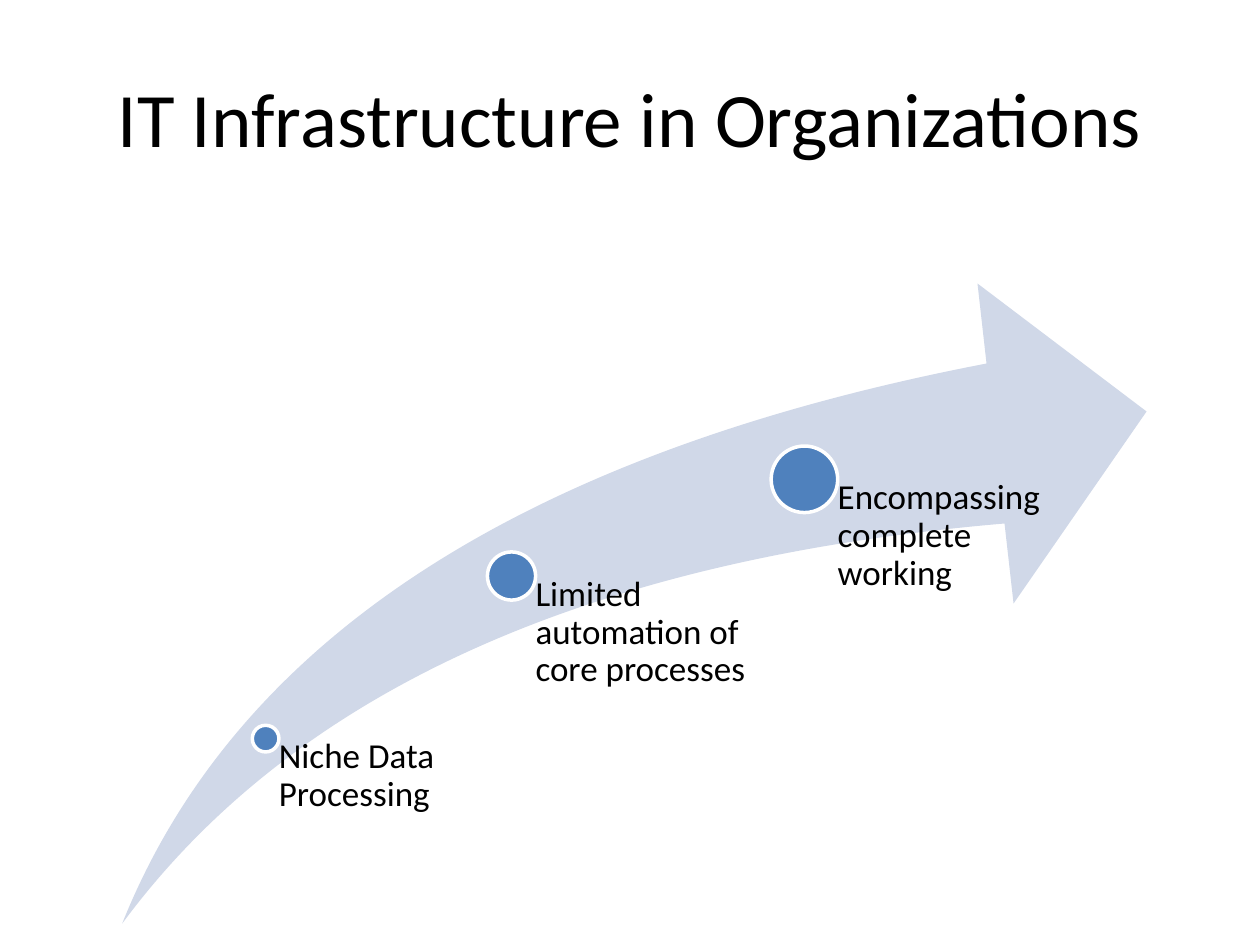
import pptx
import pptx.util
import pptx.dml.color
import pptx.enum.shapes
import pptx.enum.text

Inch = pptx.util.Inches
Pt = pptx.util.Pt
Shape = pptx.enum.shapes.MSO_SHAPE
Anchor = pptx.enum.text.MSO_ANCHOR
Align = pptx.enum.text.PP_ALIGN

# Arrow frame: left, top, width, height in inches
LEFT, TOP, WIDE, HIGH = 0.97, 2.25, 8.13, 5.08

# Centre x, centre y, dot size and label width as shares of the arrow
STAGES = [
    ("Niche Data Processing", 0.14, 0.711, 0.026, 0.234),
    ("Limited automation of core processes", 0.38, 0.457, 0.047, 0.24),
    ("Encompassing complete working", 0.666, 0.306, 0.065, 0.24),
]


def paint(part, color):
    part.solid()
    part.fore_color.rgb = pptx.dml.color.RGBColor.from_string(color)


def style(para, size):
    para.font.size = Pt(size)
    para.font.name = "Calibri"
    paint(para.font.fill, "000000")


def add_title(slide, text):
    title = slide.shapes.title
    title.left, title.top = Inch(0.5), Inch(0.3)
    title.width, title.height = Inch(9), Inch(1.25)
    frame = title.text_frame
    frame.text = text
    frame.vertical_anchor = Anchor.MIDDLE
    para = frame.paragraphs[0]
    para.alignment = Align.CENTER
    style(para, 44)


def add_form(group, kind, x, y, w, h, color):
    form = group.shapes.add_shape(kind, Inch(x), Inch(y), Inch(w), Inch(h))
    form.shadow.inherit = False
    paint(form.fill, color)
    form.line.fill.background()
    return form


def add_arrow(group):
    arrow = add_form(group, Shape.SWOOSH_ARROW, LEFT, TOP, WIDE, HIGH, "D0D8E8")
    arrow.adjustments[0] = 0.25
    arrow.adjustments[1] = 0.25


def add_dot(group, x, y, size):
    dot = add_form(group, Shape.OVAL, x - size / 2, y - size / 2, size, size, "4F81BD")
    paint(dot.line.fill, "FFFFFF")
    dot.line.width = Pt(2)


def add_label(group, text, x, y, width, inset):
    # Runs from the dot's centre down to the foot of the arrow
    box = group.shapes.add_textbox(Inch(x), Inch(y), Inch(width), Inch(TOP + HIGH - y))
    frame = box.text_frame
    frame.word_wrap = True
    frame.margin_left = Inch(inset)
    frame.margin_top = frame.margin_right = frame.margin_bottom = 0
    frame.vertical_anchor = Anchor.TOP
    frame.text = text
    para = frame.paragraphs[0]
    para.line_spacing = 0.9
    style(para, 20)


def main():
    deck = pptx.Presentation()
    deck.slide_width, deck.slide_height = Inch(10), Inch(7.5)
    slide = deck.slides.add_slide(deck.slide_layouts[5])
    add_title(slide, "IT Infrastructure in Organizations")

    # Growth arrow with its stages
    group = slide.shapes.add_group_shape()
    add_arrow(group)
    for text, across, down, share, width in STAGES:
        x, y, size = LEFT + across * WIDE, TOP + down * HIGH, share * WIDE
        add_dot(group, x, y, size)
        add_label(group, text, x, y, width * WIDE, size / 2)

    deck.save("out.pptx")


if __name__ == "__main__":
    main()
